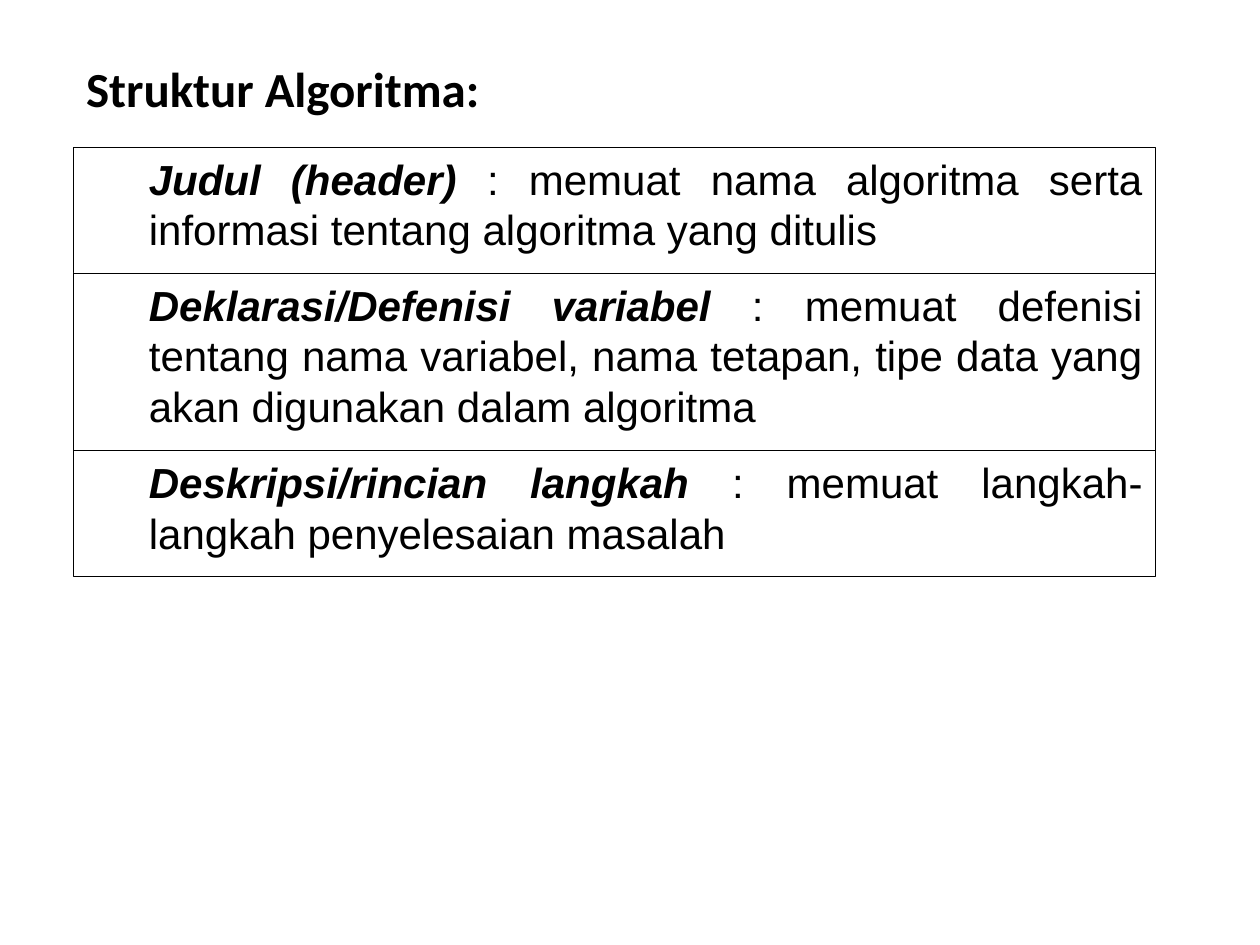
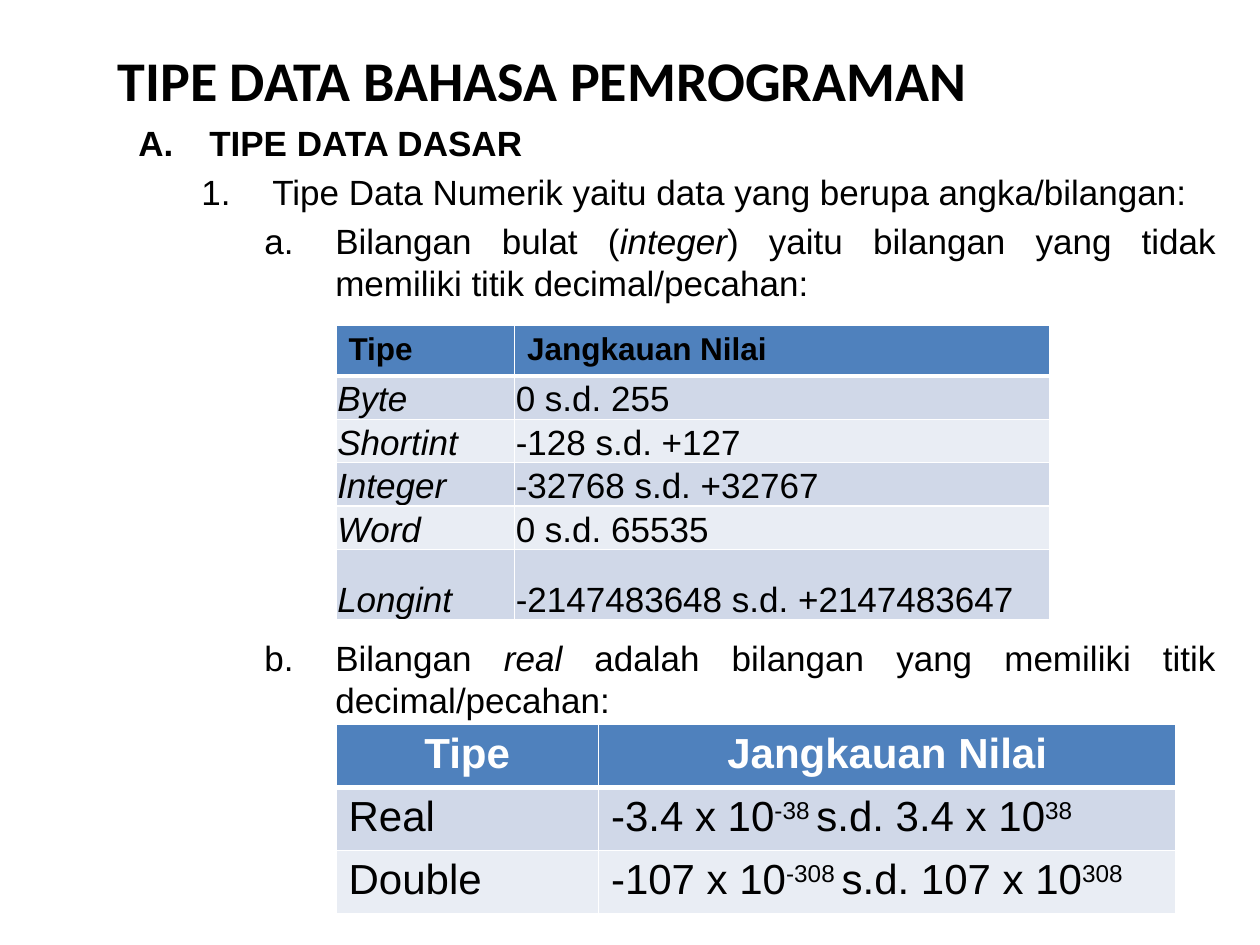
from dataclasses import dataclass
from typing import Any, Optional

import lxml.etree
import pptx
import pptx.dml.color
import pptx.enum.shapes
import pptx.enum.text
import pptx.oxml.ns
import pptx.util

Pt = pptx.util.Pt
Align = pptx.enum.text.PP_ALIGN
Anchor = pptx.enum.text.MSO_ANCHOR
BLACK = pptx.dml.color.RGBColor(0x00, 0x00, 0x00)
WHITE = pptx.dml.color.RGBColor(0xFF, 0xFF, 0xFF)
HEADER_BLUE = pptx.dml.color.RGBColor(0x4F, 0x81, 0xBD)
BAND_COLORS = (
    pptx.dml.color.RGBColor(0xD0, 0xD8, 0xE8),
    pptx.dml.color.RGBColor(0xE9, 0xED, 0xF4),
)
TITLE_FONT = "Calibri"
BODY_FONT = "Arial"
OUTLINE_SIZE = 20
OUTLINE_HANG = 40.5
OUTLINE_STEP = 36


@dataclass(frozen=True)
class Box:
    left: float
    top: float
    width: float
    height: float

    def lengths(self) -> tuple:
        return Pt(self.left), Pt(self.top), Pt(self.width), Pt(self.height)


@dataclass(frozen=True)
class Span:
    text: str
    bold: bool = False
    italic: bool = False
    raised: bool = False


@dataclass(frozen=True)
class Section:
    term: str
    meaning: str
    height: float


@dataclass(frozen=True)
class OutlineItem:
    level: int
    numbering: str
    spans: tuple[Span, ...]
    start: int = 1


@dataclass(frozen=True)
class RangeTable:
    left: float
    top: float
    columns: tuple[float, ...]
    heights: tuple[float, ...]
    rows: tuple[tuple[tuple[Span, ...], ...], ...]
    header_size: float
    header_color: pptx.dml.color.RGBColor
    header_align: Align
    body_size: float
    tight: bool = False


def add_child(parent: Any, tag: str, **attributes: str) -> Any:
    child = lxml.etree.SubElement(parent, pptx.oxml.ns.qn(tag))
    for name, value in attributes.items():
        child.set(name, value)
    return child


def write_spans(paragraph: Any, spans: tuple[Span, ...], size: float,
                color: pptx.dml.color.RGBColor = BLACK, font: str = BODY_FONT) -> None:
    for span in spans:
        run = paragraph.add_run()
        run.text = span.text
        run.font.name = font
        run.font.size = Pt(size)
        run.font.bold = span.bold
        run.font.italic = span.italic
        run.font.color.rgb = color
        if span.raised:
            run.font._element.set("baseline", "30000")


def add_titled_slide(deck: Any, title: str, box: Box, size: float, anchor: Anchor) -> Any:
    slide = deck.slides.add_slide(deck.slide_layouts[5])
    heading = slide.shapes.title
    heading.left, heading.top, heading.width, heading.height = box.lengths()
    frame = heading.text_frame
    frame.word_wrap = True
    frame.auto_size = pptx.enum.text.MSO_AUTO_SIZE.NONE
    frame.vertical_anchor = anchor
    paragraph = frame.paragraphs[0]
    paragraph.alignment = Align.LEFT
    write_spans(paragraph, (Span(title, bold=True),), size, font=TITLE_FONT)
    return slide


def add_sections(slide: Any, left: float, top: float, width: float,
                 sections: tuple[Section, ...]) -> None:
    stack = slide.shapes.add_group_shape()
    for section in sections:
        panel = stack.shapes.add_shape(
            pptx.enum.shapes.MSO_SHAPE.RECTANGLE,
            *Box(left, top, width, section.height).lengths())
        panel.shadow.inherit = False
        panel.fill.solid()
        panel.fill.fore_color.rgb = WHITE
        panel.line.color.rgb = BLACK
        panel.line.width = Pt(0.25)
        frame = panel.text_frame
        frame.word_wrap = True
        frame.vertical_anchor = Anchor.TOP
        paragraph = frame.paragraphs[0]
        paragraph.alignment = Align.JUSTIFY
        paragraph.space_after = Pt(10)
        properties = paragraph._p.get_or_add_pPr()
        properties.set("marL", str(Pt(36)))
        properties.set("indent", "0")
        write_spans(paragraph, (Span(section.term, bold=True, italic=True),
                                Span(" : " + section.meaning)), 24)
        top += section.height


def add_outline(slide: Any, box: Box, items: tuple[OutlineItem, ...]) -> None:
    frame = slide.shapes.add_textbox(*box.lengths()).text_frame
    frame.word_wrap = True
    for index, item in enumerate(items):
        paragraph = frame.add_paragraph() if index else frame.paragraphs[0]
        paragraph.level = item.level
        paragraph.alignment = Align.JUSTIFY
        paragraph.space_before = Pt(OUTLINE_SIZE * 0.2)
        properties = paragraph._p.get_or_add_pPr()
        properties.set("marL", str(Pt(OUTLINE_HANG + OUTLINE_STEP * item.level)))
        properties.set("indent", str(-Pt(OUTLINE_HANG)))
        add_child(properties, "a:buFont", typeface=BODY_FONT)
        add_child(properties, "a:buAutoNum", type=item.numbering, startAt=str(item.start))
        write_spans(paragraph, item.spans, OUTLINE_SIZE)


def style_cell(cell: Any, fill: pptx.dml.color.RGBColor, bottom_width: float) -> None:
    properties = cell._tc.get_or_add_tcPr()
    for side in ("L", "R", "T", "B"):
        width = bottom_width if side == "B" else 1
        border = add_child(properties, f"a:ln{side}", w=str(Pt(width)))
        paint = add_child(border, "a:solidFill")
        add_child(paint, "a:srgbClr", val=str(WHITE))
    cell.fill.solid()
    cell.fill.fore_color.rgb = fill


def add_range_table(slide: Any, spec_table: RangeTable) -> None:
    box = Box(spec_table.left, spec_table.top,
              sum(spec_table.columns), sum(spec_table.heights))
    table = slide.shapes.add_table(
        len(spec_table.rows), len(spec_table.columns), *box.lengths()).table
    for column, width in zip(table.columns, spec_table.columns):
        column.width = Pt(width)
    for index, (row, height) in enumerate(zip(table.rows, spec_table.heights)):
        row.height = Pt(height)
        is_header = index == 0
        for cell, spans in zip(row.cells, spec_table.rows[index]):
            paragraph = cell.text_frame.paragraphs[0]
            if is_header:
                style_cell(cell, HEADER_BLUE, 3)
                paragraph.alignment = spec_table.header_align
                write_spans(paragraph, spans, spec_table.header_size,
                            spec_table.header_color)
                continue
            style_cell(cell, BAND_COLORS[(index - 1) % 2], 1)
            write_spans(paragraph, spans, spec_table.body_size)
            if spec_table.tight:
                cell.vertical_anchor = Anchor.BOTTOM
                cell.margin_left = cell.margin_right = cell.margin_top = Pt(0.75)
                cell.margin_bottom = Pt(0)


def power_range(factor: str, exponent: str) -> tuple[Span, ...]:
    return (Span(f"-{factor} x 10"), Span(f"-{exponent} ", raised=True),
            Span(f"s.d. {factor} x 10"), Span(exponent, raised=True))


RANGE_HEADER = ((Span("Tipe", bold=True),), (Span("Jangkauan Nilai", bold=True),))

SECTIONS = (
    Section("Judul (header)",
            "memuat nama algoritma serta informasi tentang algoritma yang ditulis", 72),
    Section("Deklarasi/Defenisi variabel",
            "memuat defenisi tentang nama variabel, nama tetapan, tipe data yang "
            "akan digunakan dalam algoritma", 101.5),
    Section("Deskripsi/rincian langkah",
            "memuat langkah-langkah penyelesaian masalah", 72),
)

INTEGER_OUTLINE = (
    OutlineItem(0, "alphaUcPeriod", (Span("TIPE DATA DASAR", bold=True),)),
    OutlineItem(1, "arabicPeriod",
                (Span("Tipe Data Numerik yaitu data yang berupa angka/bilangan:"),)),
    OutlineItem(2, "alphaLcPeriod",
                (Span("Bilangan bulat ("), Span("integer", italic=True),
                 Span(") yaitu bilangan yang tidak memiliki titik decimal/pecahan:"))),
)

REAL_OUTLINE = (
    OutlineItem(2, "alphaLcPeriod",
                (Span("Bilangan "), Span("real ", italic=True),
                 Span("adalah bilangan yang memiliki titik decimal/pecahan:")), start=2),
)

INTEGER_RANGES = (
    ("Byte", "0 s.d. 255"),
    ("Shortint", "-128 s.d. +127"),
    ("Integer", "-32768 s.d. +32767"),
    ("Word", "0 s.d. 65535"),
    ("Longint", "-2147483648 s.d. +2147483647"),
)

INTEGER_TABLE = RangeTable(
    192, 186, (102, 306), (27, 24.2, 24.2, 24.2, 24.2, 40.3),
    (RANGE_HEADER,) + tuple(((Span(kind, italic=True),), (Span(limits),))
                            for kind, limits in INTEGER_RANGES),
    18, BLACK, Align.LEFT, 20, tight=True)

REAL_TABLE = RangeTable(
    192, 414, (150, 330), (33.8,) * 3,
    (RANGE_HEADER,
     ((Span("Real"),), power_range("3.4", "38")),
     ((Span("Double"),), power_range("107", "308"))),
    24, WHITE, Align.CENTER, 24)


def main() -> None:
    deck = pptx.Presentation()
    deck.slide_width, deck.slide_height = Pt(720), Pt(540)

    structure = add_titled_slide(
        deck, "Struktur Algoritma:", Box(42, 30, 606, 42), 28, Anchor.TOP)
    add_sections(structure, 42, 84, 618, SECTIONS)

    data_types = add_titled_slide(
        deck, "TIPE DATA BAHASA PEMROGRAMAN", Box(60, 18, 612, 54), 32, Anchor.MIDDLE)
    add_outline(data_types, Box(72, 66, 630, 114), INTEGER_OUTLINE)
    add_outline(data_types, Box(72, 360, 630, 60), REAL_OUTLINE)
    add_range_table(data_types, REAL_TABLE)
    add_range_table(data_types, INTEGER_TABLE)

    deck.save("out.pptx")


main()
